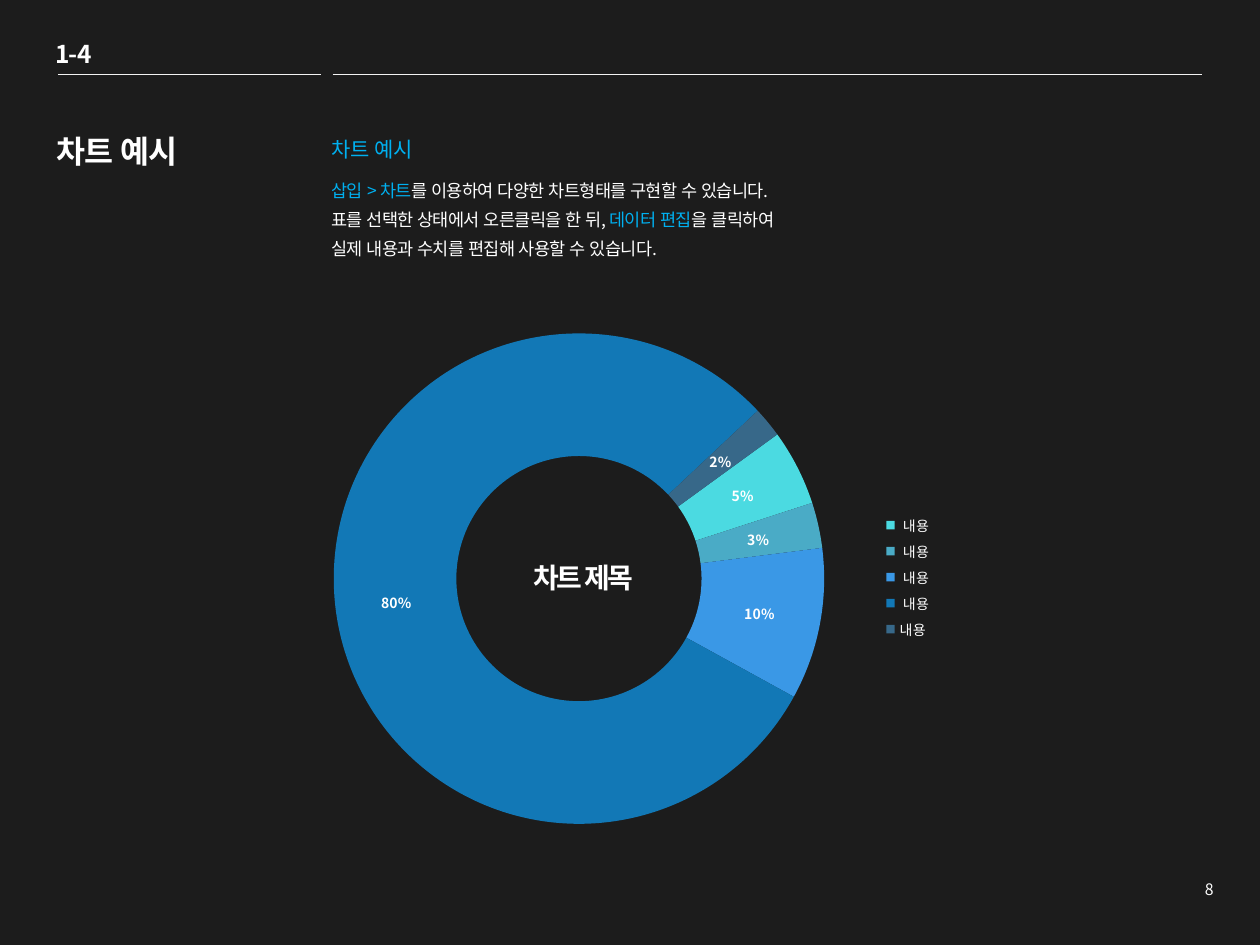
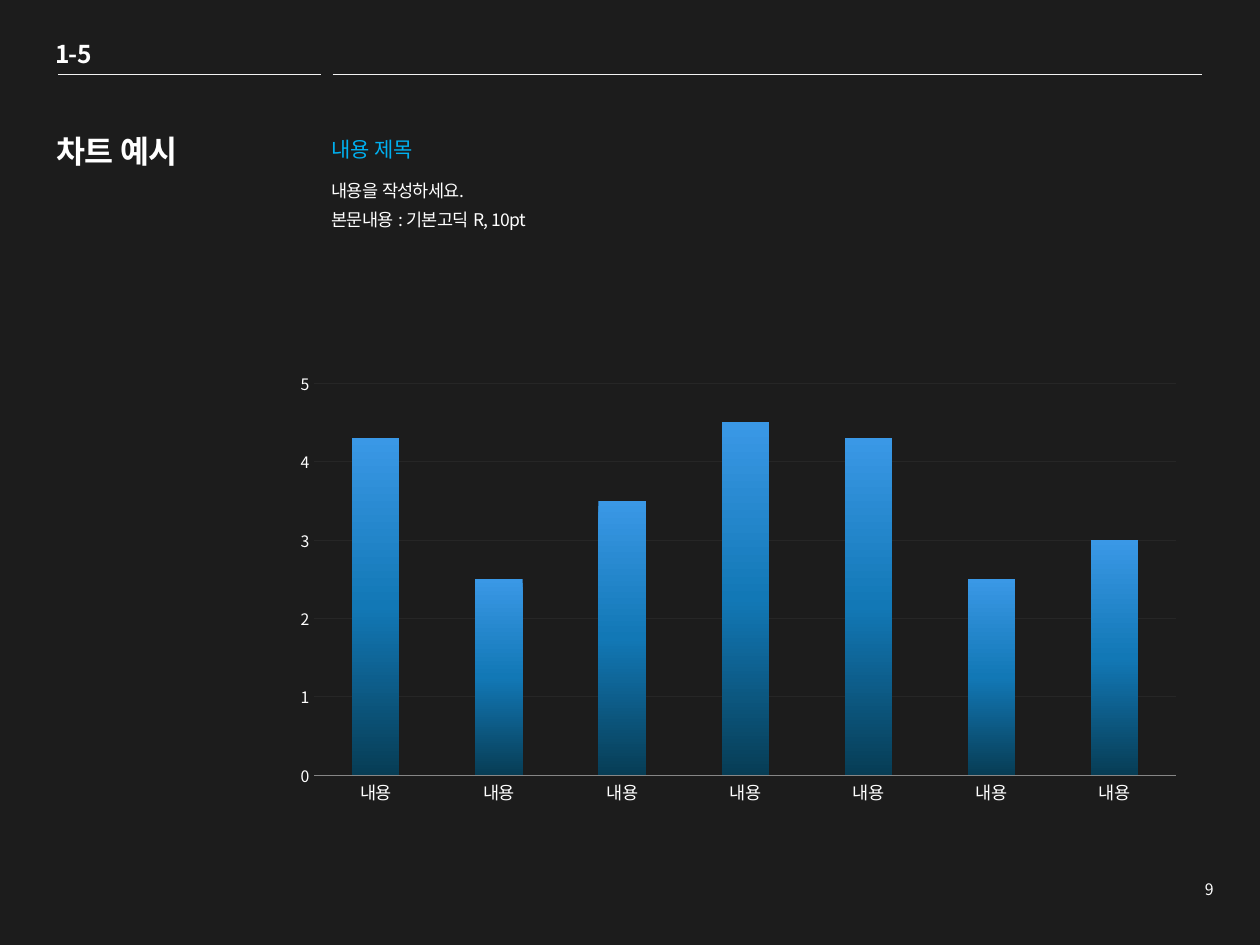
"""Build two dark slides that show a doughnut chart and a column chart."""
from lxml import etree
from pptx import Presentation
from pptx.chart.data import CategoryChartData
from pptx.dml.color import RGBColor
from pptx.enum.chart import XL_CHART_TYPE as ChartType
from pptx.enum.chart import XL_LEGEND_POSITION as LegendPosition
from pptx.enum.chart import XL_TICK_MARK as TickMark
from pptx.enum.shapes import MSO_CONNECTOR as Connector
from pptx.enum.text import MSO_ANCHOR as Anchor
from pptx.enum.text import PP_ALIGN as Align
from pptx.oxml import parse_xml
from pptx.oxml.ns import nsdecls, qn
from pptx.util import Pt

FONT = "Noto Sans CJK KR"
COLORS = {
    "background": "1C1C1C",
    "text": "FFFFFF",
    "accent": "00B0F0",
    "rule": "F2F2F2",
    "grid": "262626",
    "axis": "868686",
    "cyan": "4BDAE1",
    "teal": "4AABC6",
    "sky": "3A98E6",
    "blue": "1278B6",
    "slate": "376889",
    "deep": "073D55",
}
SLICES = ["cyan", "teal", "sky", "blue", "slate"]
GRADIENT = [(0, "sky"), (50, "blue"), (100, "deep")]


def color(name):
    return RGBColor.from_string(COLORS[name])


def set_font(font, size, bold=False, fill="text"):
    font.name = FONT
    font.size = Pt(size)
    font.bold = bold
    font.color.rgb = color(fill)


def add_run(paragraph, text, size, bold, fill, tracking):
    run = paragraph.add_run()
    run.text = text
    set_font(run.font, size, bold, fill)
    properties = run._r.get_or_add_rPr()
    properties.set("spc", str(round(tracking * 100)))
    properties.set("lang", "ko-KR")
    east_asian = etree.SubElement(properties, qn("a:ea"))
    east_asian.set("typeface", FONT)


def add_text(slide, lines, box, size=10, bold=False, fill="text", tracking=0,
             align=Align.LEFT, spacing=None, wrap=True):
    """Add a text box; each line is a string or a list of (text, colour) parts."""
    shape = slide.shapes.add_textbox(*map(Pt, box))
    frame = shape.text_frame
    frame.word_wrap = wrap
    frame.vertical_anchor = Anchor.TOP
    for index, line in enumerate(lines):
        paragraph = frame.paragraphs[0] if index == 0 else frame.add_paragraph()
        paragraph.alignment = align
        if spacing:
            paragraph.line_spacing = spacing
        parts = [(line, fill)] if isinstance(line, str) else line
        for text, part_fill in parts:
            add_run(paragraph, text, size, bold, part_fill, tracking)


def add_rule(slide, left, right, top):
    line = slide.shapes.add_connector(
        Connector.STRAIGHT, Pt(left), Pt(top), Pt(right), Pt(top))
    line.line.color.rgb = color("rule")
    line.line.width = Pt(0.25)
    etree.SubElement(line._element.spPr, qn("a:effectLst"))


def add_page(presentation, section, number, heading, body):
    """Add a slide with everything that the pages share."""
    slide = presentation.slides.add_slide(presentation.slide_layouts[6])
    slide.background.fill.solid()
    slide.background.fill.fore_color.rgb = color("background")
    add_text(slide, [section], (24.5, 18.7, 35.3, 24.5), size=14, bold=True,
             tracking=-0.5, wrap=False)
    add_rule(slide, 33.1, 183.6, 42.5)
    add_rule(slide, 190.1, 686.9, 42.5)
    add_text(slide, ["차트 예시"], (25.2, 72, 136, 116), size=18, bold=True,
             tracking=-0.5)
    add_text(slide, [heading], (182.2, 74.2, 383, 21.6), size=12,
             fill="accent", tracking=-0.2)
    add_text(slide, body, (182.2, 94.3, 440, 7.2 + 17 * len(body)),
             tracking=-0.3, spacing=1.4)
    add_text(slide, [str(number)], (680.4, 499, 20.2, 18), size=9,
             align=Align.RIGHT, wrap=False)
    return slide


def add_chart(slide, kind, categories, values, box):
    data = CategoryChartData()
    data.categories = categories
    data.add_series("Series 1", values)
    chart = slide.shapes.add_chart(kind, *map(Pt, box), data).chart
    chart.has_title = False
    chart.has_legend = False
    set_font(chart.font, 9)
    return chart


def set_plot_area(chart, left, top, width, height):
    """Fix the inner plot area, in fractions of the chart."""
    area = chart._chartSpace.chart.plotArea
    for layout in area.findall(qn("c:layout")):
        area.remove(layout)
    places = "".join(f'<c:{tag} val="{value}"/>' for tag, value in
                     (("x", left), ("y", top), ("w", width), ("h", height)))
    area.insert(0, parse_xml(
        f'<c:layout {nsdecls("c")}><c:manualLayout><c:layoutTarget val="inner"/>'
        f'<c:xMode val="edge"/><c:yMode val="edge"/>{places}'
        '</c:manualLayout></c:layout>'))


def add_doughnut(slide):
    categories = [" 내용"] * 4 + ["내용"]
    chart = add_chart(slide, ChartType.DOUGHNUT, categories, [5, 3, 10, 80, 2],
                      (121.7, 157, 418.3, 345.6))
    set_plot_area(chart, 0.165, 0.097, 0.67, 0.811)
    chart.has_legend = True
    chart.legend.position = LegendPosition.RIGHT
    chart.legend.include_in_layout = True
    set_font(chart.legend.font, 8)

    plot = chart.plots[0]
    plot.vary_by_categories = True
    for tag, value in (("c:firstSliceAng", "54"), ("c:holeSize", "65")):
        plot._element.find(qn(tag)).set("val", value)
    for index, name in enumerate(SLICES):
        slice_format = plot.series[0].points[index].format
        slice_format.fill.solid()
        slice_format.fill.fore_color.rgb = color(name)
        slice_format.line.fill.background()

    plot.has_data_labels = True
    labels = plot.data_labels
    labels.show_value = False
    labels.show_percentage = True
    labels.number_format = "0%"
    labels.number_format_is_linked = False
    set_font(labels.font, 8, bold=True)


def fill_gradient(series):
    """Fill the columns with a gradient from top to bottom."""
    stops = "".join(
        f'<a:gs pos="{place * 1000}"><a:srgbClr val="{COLORS[name]}"/></a:gs>'
        for place, name in GRADIENT)
    properties = series._element.get_or_add_spPr()
    properties.insert(0, parse_xml(
        f'<a:gradFill {nsdecls("a")} rotWithShape="1"><a:gsLst>{stops}</a:gsLst>'
        '<a:lin ang="5400000" scaled="0"/></a:gradFill>'))


def add_columns(slide):
    values = [4.3, 2.5, 3.5, 4.5, 4.3, 2.5, 3]
    chart = add_chart(slide, ChartType.COLUMN_CLUSTERED, ["내용"] * len(values),
                      values, (161.3, 207.4, 521.3, 257.8))
    plot = chart.plots[0]
    plot.gap_width = 160
    plot.vary_by_categories = False
    fill_gradient(plot.series[0])

    for axis, size in ((chart.category_axis, 10), (chart.value_axis, 9)):
        axis.major_tick_mark = TickMark.NONE
        axis.minor_tick_mark = TickMark.NONE
        set_font(axis.tick_labels.font, size)
    chart.category_axis.format.line.color.rgb = color("axis")
    chart.category_axis.format.line.width = Pt(0.75)

    axis = chart.value_axis
    axis.minimum_scale, axis.maximum_scale, axis.major_unit = 0, 5, 1
    axis.format.line.fill.background()
    axis.has_major_gridlines = True
    axis.major_gridlines.format.line.color.rgb = color("grid")
    axis.major_gridlines.format.line.width = Pt(0.25)


def main():
    presentation = Presentation()
    presentation.slide_width, presentation.slide_height = Pt(720), Pt(540)

    slide = add_page(presentation, "1-4", 8, "차트 예시", [
        [("삽입 > 차트", "accent"),
         ("를 이용하여 다양한 차트형태를 구현할 수 있습니다.", "text")],
        [("표를 선택한 상태에서 오른클릭을 한 뒤, ", "text"),
         ("데이터 편집", "accent"), ("을 클릭하여", "text")],
        "실제 내용과 수치를 편집해 사용할 수 있습니다.",
    ])
    add_doughnut(slide)
    add_text(slide, ["차트 제목"], (297.4, 316.8, 72, 26.6), size=16, bold=True,
             tracking=-1.5, align=Align.CENTER, wrap=False)

    slide = add_page(presentation, "1-5", 9, "내용 제목", [
        "내용을 작성하세요.",
        "본문내용 : 기본고딕 R, 10pt",
    ])
    add_columns(slide)

    presentation.save("out.pptx")


main()
